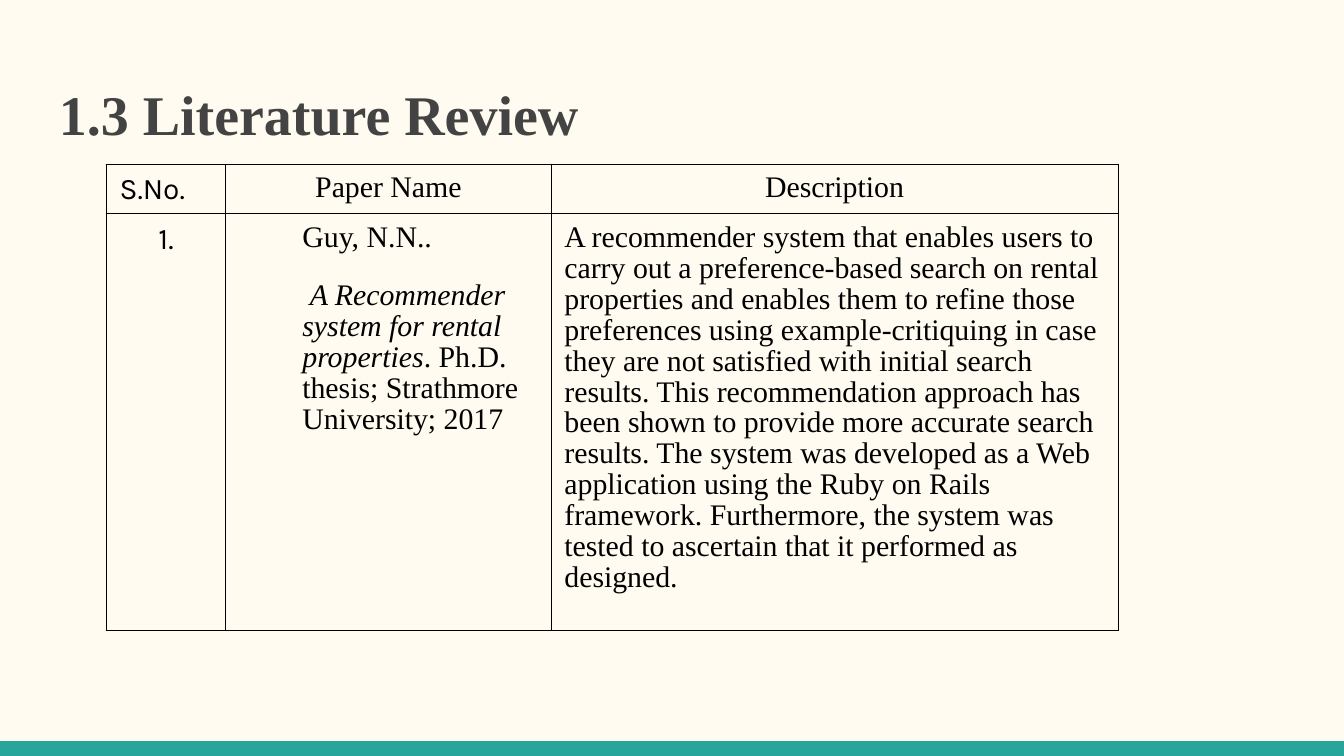
import pptx
import pptx.util
import pptx.dml.color
import pptx.enum.shapes
import pptx.enum.text
import pptx.oxml
import pptx.oxml.ns
from pptx.util import Inches, Pt

RGB = pptx.dml.color.RGBColor
CREAM = RGB(0xFF, 0xFB, 0xF0)
TEAL = RGB(0x26, 0xA6, 0x9A)
GRAY = RGB(0x43, 0x43, 0x43)
BLACK = RGB(0, 0, 0)
SERIF, SANS = "Times New Roman", "Karla"
WIDE = 10
HIGH = WIDE * 9 / 16
COLS = [0.89, 2.42, 4.22]
ROWS = [0.36, 3.1]
LEFT = pptx.enum.text.PP_ALIGN.LEFT
MID = pptx.enum.text.PP_ALIGN.CENTER

ABOUT = (
    "A recommender system that enables users to carry out a preference-based "
    "search on rental properties and enables them to refine those preferences "
    "using example-critiquing in case they are not satisfied with initial "
    "search results. This recommendation approach has been shown to provide "
    "more accurate search results. The system was developed as a Web "
    "application using the Ruby on Rails framework. Furthermore, the system "
    "was tested to ascertain that it performed as designed."
)
PAPER = [
    [("Guy, N.N..", False)],
    [(" ", False),
     ("A Recommender system for rental properties", True),
     (". Ph.D. thesis; Strathmore University; 2017", False)],
]


def plain(text):
    return [[(text, False)]]


# Each cell: paragraphs of (text, italic) runs, font, alignment, indent
CELLS = [
    [(plain("S.No."), SANS, LEFT, 0),
     (plain("Paper Name"), SERIF, MID, 0),
     (plain("Description"), SERIF, MID, 0)],
    [(plain("1."), SANS, MID, 0),
     (PAPER, SERIF, LEFT, 0.47),
     (plain(ABOUT), SERIF, LEFT, 0)],
]


def add_run(para, text, face, size, color, bold=False, slant=False):
    run = para.add_run()
    run.text = text
    font = run.font
    font.name, font.size = face, Pt(size)
    font.bold, font.italic = bold, slant
    font.color.rgb = color


def add_bar(slide):
    bar = slide.shapes.add_shape(
        pptx.enum.shapes.MSO_SHAPE.RECTANGLE,
        0, Inches(HIGH - 0.11), Inches(WIDE), Inches(0.11))
    bar.shadow.inherit = False
    bar.fill.solid()
    bar.fill.fore_color.rgb = TEAL
    bar.line.fill.background()


def add_title(slide, text):
    box = slide.shapes.add_textbox(
        Inches(0.34), Inches(0.49), Inches(WIDE - 2 * 0.34), Inches(0.67))
    frame = box.text_frame
    frame.word_wrap = True
    frame.margin_left = frame.margin_right = Inches(0.1)
    frame.margin_top = frame.margin_bottom = Inches(0.1)
    add_run(frame.paragraphs[0], text, SERIF, 30, GRAY, bold=True)


def add_edges(cell):
    props = cell._tc.get_or_add_tcPr()
    space = pptx.oxml.ns.nsdecls("a")
    for spot, side in enumerate("LRTB"):
        props.insert(spot, pptx.oxml.parse_xml(
            f'<a:ln{side} {space} w="{Pt(0.45)}"><a:solidFill>'
            f'<a:srgbClr val="{BLACK}"/></a:solidFill></a:ln{side}>'))


def fill_cell(cell, paras, face, align, indent):
    cell.fill.background()
    add_edges(cell)
    cell.margin_left = cell.margin_right = Inches(0.1)
    cell.margin_top = Inches(0.06 if face == SANS else 0.07)
    cell.margin_bottom = Inches(0.05)
    frame = cell.text_frame
    for spot, runs in enumerate(paras):
        para = frame.add_paragraph() if spot else frame.paragraphs[0]
        para.alignment = align
        para.line_spacing = 0.98 if face == SANS else 0.93
        if indent:
            para.space_before = Pt(14.5)
            props = para._p.get_or_add_pPr()
            props.set("marL", str(Inches(indent)))
            props.set("indent", "0")
        for text, slant in runs:
            add_run(para, text, face, 16, BLACK, slant=slant)


def add_grid(slide):
    grid = slide.shapes.add_table(
        len(ROWS), len(COLS), Inches(0.79), Inches(1.22),
        Inches(sum(COLS)), Inches(sum(ROWS))).table
    grid.first_row = grid.horz_banding = False
    for col, width in zip(grid.columns, COLS):
        col.width = Inches(width)
    for row, height, cells in zip(grid.rows, ROWS, CELLS):
        row.height = Inches(height)
        for cell, parts in zip(row.cells, cells):
            fill_cell(cell, *parts)


def main():
    deck = pptx.Presentation()
    deck.slide_width, deck.slide_height = Inches(WIDE), Inches(HIGH)
    slide = deck.slides.add_slide(deck.slide_layouts[6])
    # Backdrop
    slide.background.fill.solid()
    slide.background.fill.fore_color.rgb = CREAM
    add_bar(slide)
    # Content
    add_title(slide, "1.3 Literature Review")
    add_grid(slide)
    deck.save("out.pptx")


if __name__ == "__main__":
    main()
